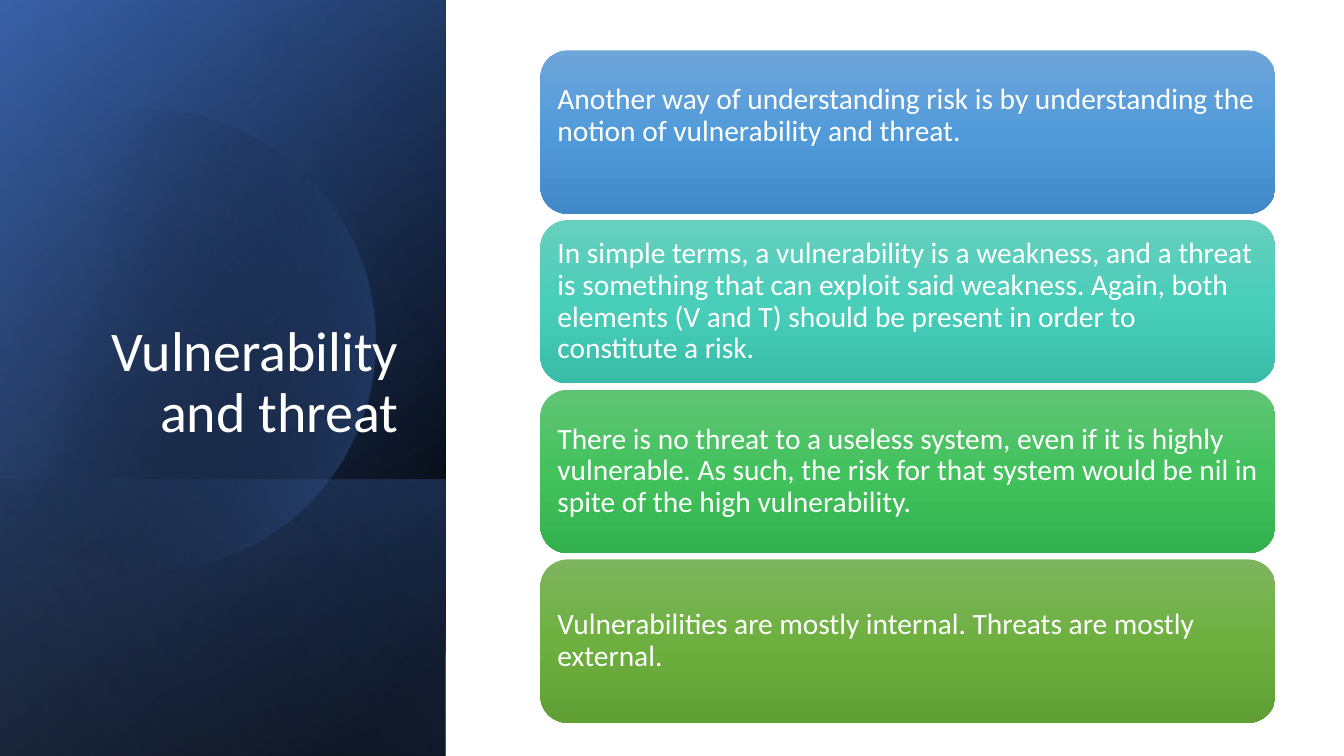
from dataclasses import dataclass
from math import acos, cos, sin

from lxml.etree import SubElement
from pptx import Presentation
from pptx.dml.color import RGBColor
from pptx.enum.shapes import MSO_SHAPE
from pptx.enum.text import MSO_ANCHOR, MSO_AUTO_SIZE, PP_ALIGN
from pptx.oxml.ns import qn
from pptx.util import Inches, Pt


@dataclass(frozen=True)
class Theme:
    """Colours and type of the slide."""
    font: str = "Calibri"
    title_size: int = 40
    card_size: int = 21
    text: str = "FFFFFF"
    black: str = "000000"
    navy: str = "2F5496"
    blue: str = "4472C4"
    pale: str = "8DA9DB"
    cards: tuple = (
        ("6EA5DA", "529BDA", "4188C8"),
        ("67CFBD", "49CEBA", "39BDA8"),
        ("61C475", "42C25D", "33B14F"),
        ("7EB55F", "6EB03F", "5F9F34"),
    )


THEME = Theme()
LINE = 0.32
CARD_TEXTS = (
    ("Another way of understanding risk is by understanding the notion of vulnerability and threat.", LINE),
    ("In simple terms, a vulnerability is a weakness, and a threat is something that can exploit said "
     "weakness. Again, both elements (V and T) should be present in order to constitute a risk.", 0),
    ("There is no threat to a useless system, even if it is highly vulnerable. As such, the risk for "
     "that system would be nil in spite of the high vulnerability.", 0),
    ("Vulnerabilities are mostly internal. Threats are mostly external.", 0),
)


def paint(sp, stops, angle):
    """Fill a shape with a linear gradient of (position, colour, alpha) stops."""
    sp.shadow.inherit = False
    sp.line.fill.background()
    sp.fill.gradient()
    sp.fill.gradient_angle = 360 - angle
    gs_list = next(sp._element.iter(qn("a:gsLst")))
    for gs in list(gs_list):
        gs_list.remove(gs)
    for position, colour, alpha in stops:
        gs = SubElement(gs_list, qn("a:gs"), pos=str(position * 1000))
        clr = SubElement(gs, qn("a:srgbClr"), val=colour)
        if alpha < 100:
            SubElement(clr, qn("a:alpha"), val=str(alpha * 1000))


def write(sp, text, size, align, anchor, insets):
    """Write one paragraph into a shape."""
    tf = sp.text_frame
    tf.word_wrap = True
    tf.auto_size = MSO_AUTO_SIZE.NONE
    tf.vertical_anchor = anchor
    tf.margin_left, tf.margin_top, tf.margin_right, tf.margin_bottom = map(Inches, insets)
    p = tf.paragraphs[0]
    p.alignment = align
    p.line_spacing = 0.9
    p.space_before = Pt(0)
    r = p.add_run()
    r.text = text
    r.font.name = THEME.font
    r.font.size = Pt(size)
    r.font.color.rgb = RGBColor.from_string(THEME.text)


def add_panel(s, box, stops, angle):
    """Add a mirrored, quarter-turned gradient rectangle."""
    sp = s.shapes.add_shape(MSO_SHAPE.RECTANGLE, *map(Inches, box))
    sp.rotation = 90
    sp._element.spPr.xfrm.set("flipH", "1")
    paint(sp, stops, angle)


def add_disc(s, cx, cy, radius, left, stops, angle):
    """Add a circle cut off by a vertical edge at left."""
    end = acos((left - cx) / radius)
    steps = 120
    angles = [end * (2 * i / steps - 1) for i in range(steps + 1)]
    points = [(Inches(cx + radius * cos(a)), Inches(cy + radius * sin(a))) for a in angles]
    builder = s.shapes.build_freeform(*points[0])
    builder.add_line_segments(points[1:], close=True)
    paint(builder.convert_to_shape(), stops, angle)


def add_backdrop(s):
    """Add the layered dark panel on the left."""
    t = THEME
    panel = (-1.54, 1.54, 7.5, 4.42)
    add_panel(s, panel, [(0, t.black, 100), (8, t.black, 100), (100, t.navy, 100)], 50)
    add_panel(s, panel, [(0, t.black, 0), (99, t.blue, 46), (100, t.blue, 46)], 30)
    add_panel(s, (0.84, 3.92, 2.74, 4.42),
              [(0, t.blue, 29), (2, t.blue, 29), (100, t.black, 30)], 130)
    add_disc(s, 1.43, 3.38, 2.29, -0.15,
             [(0, t.black, 0), (29, t.black, 0), (100, t.blue, 43)], 14)
    add_panel(s, panel, [(0, t.black, 0), (99, t.pale, 11), (100, t.pale, 11)], 120)


def add_title(s, text):
    """Place the title in front of the backdrop."""
    title = s.shapes.title
    s.shapes._spTree.append(title._element)
    title.left, title.top, title.width, title.height = map(Inches, (0.64, 1.84, 3.41, 2.62))
    write(title, text, THEME.title_size, PP_ALIGN.RIGHT, MSO_ANCHOR.BOTTOM, (0.1, 0.05, 0.1, 0.05))


def add_card(s, top, text, colours, lift):
    """Add a rounded card whose text sits higher when lift is given."""
    sp = s.shapes.add_shape(MSO_SHAPE.ROUNDED_RECTANGLE, *map(Inches, (5.36, top, 7.29, 1.62)))
    paint(sp, [(50 * i, colour, 100) for i, colour in enumerate(colours)], 90)
    write(sp, text, THEME.card_size, PP_ALIGN.LEFT, MSO_ANCHOR.MIDDLE, (0.09, 0.09, 0.09, 0.09 + lift))


def main():
    """Build and save the slide."""
    prs = Presentation()
    prs.slide_width, prs.slide_height = Inches(13.33), Inches(7.5)
    s = prs.slides.add_slide(prs.slide_layouts[5])
    add_backdrop(s)
    add_title(s, "Vulnerability and threat")
    first, last = 0.5, 5.55
    pitch = (last - first) / (len(CARD_TEXTS) - 1)
    for i, ((text, lift), colours) in enumerate(zip(CARD_TEXTS, THEME.cards)):
        add_card(s, first + i * pitch, text, colours, lift)
    prs.save("out.pptx")


if __name__ == "__main__":
    main()
